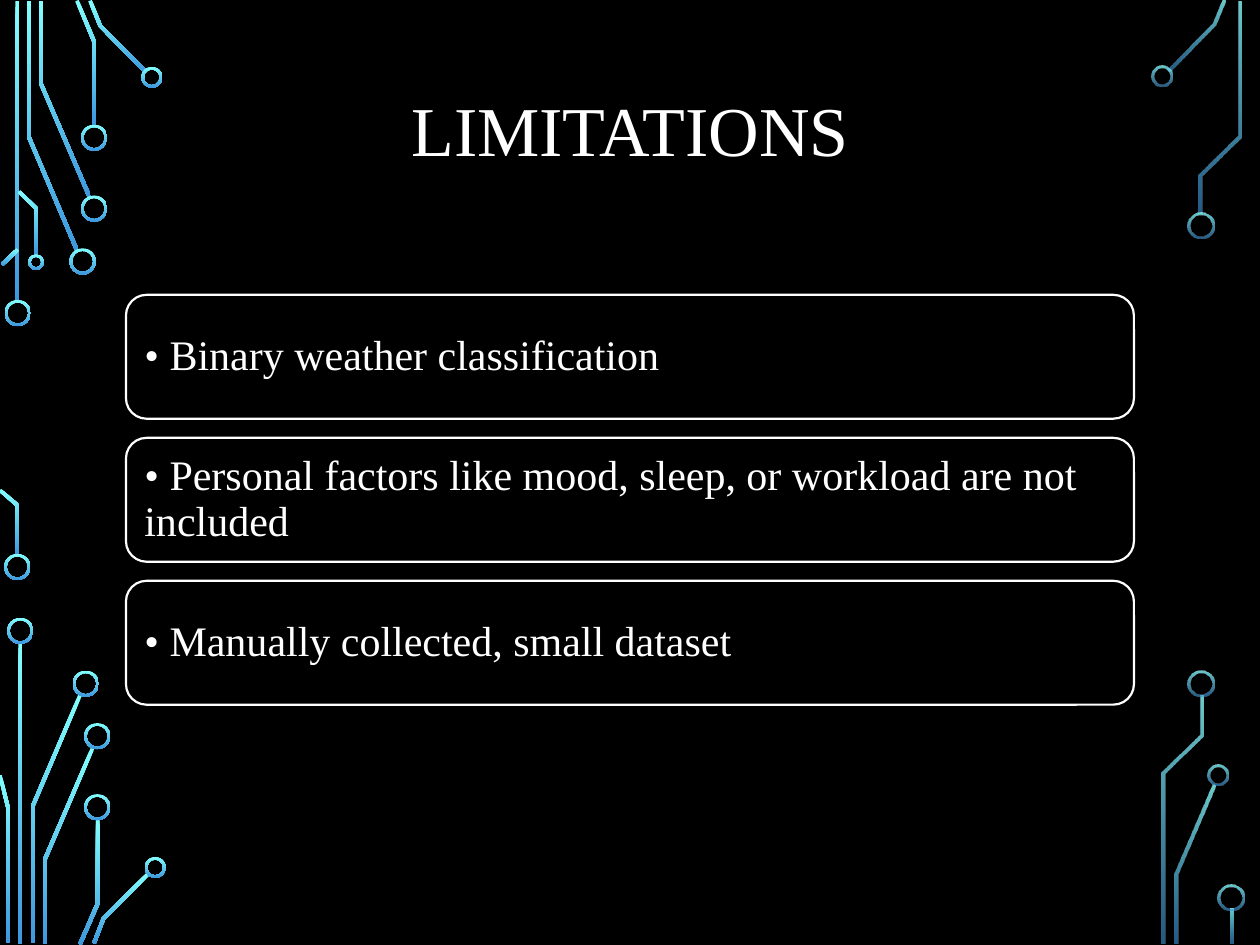
from dataclasses import dataclass

from lxml.etree import SubElement
from pptx import Presentation
from pptx.dml.color import RGBColor
from pptx.enum.shapes import MSO_SHAPE
from pptx.enum.text import MSO_ANCHOR, PP_ALIGN
from pptx.oxml.ns import qn
from pptx.util import Pt


@dataclass(frozen=True)
class Theme:
    back: RGBColor = RGBColor(0x00, 0x00, 0x00)
    ink: RGBColor = RGBColor(0xFF, 0xFF, 0xFF)
    glow: tuple = (RGBColor(0x82, 0xFF, 0xFF), RGBColor(0x3D, 0x97, 0xDE))
    font: str = "Times New Roman"
    title: int = 40
    body: int = 24
    trace: float = 2.1
    ring: float = 1.5


theme = Theme()

# Each side: opacity of the gradient ends in percent, trace centre lines,
# and rings as centre x, centre y, diameter.
sides = [
    {
        "alpha": (100, 100),
        "traces": [
            [(9.9, 0.7), (9.9, 172)],
            [(16.6, 0.7), (16.6, 78.5), (44, 143)],
            [(23.5, 0.7), (23.5, 48), (51.3, 112.8)],
            [(44, 0.4), (53.8, 23.8), (53.8, 72)],
            [(51.5, 0.4), (57.3, 14.8), (83.2, 41)],
            [(1.1, 151.2), (10.1, 142.6)],
            [(0, 280.1), (10, 288.7), (10, 317.5)],
            [(10.8, 109.4), (20.6, 119), (20.6, 146.2)],
            [(11.5, 367.2), (11.5, 539.3)],
            [(18.6, 538.6), (18.6, 461), (45.9, 397)],
            [(4.6, 538.6), (4.6, 461.5), (0, 443)],
            [(25.5, 539.3), (25.5, 491.4), (53, 427.3)],
            [(45.7, 539.6), (55.9, 516.2), (55.9, 468)],
            [(53.7, 539), (59.1, 525), (85, 499)],
        ],
        "rings": [
            (10.1, 178.9, 15), (9.9, 324, 15), (47.2, 149.4, 15),
            (53.8, 119.2, 15), (53.8, 78.7, 15), (86.8, 44.2, 12),
            (20.6, 149.8, 9), (11.6, 360.5, 15), (49, 390.7, 15),
            (55.6, 420.7, 15), (55.6, 461.3, 15), (88.7, 495.7, 12),
        ],
    },
    {
        "alpha": (80, 60),
        "traces": [
            [(667.8, 40), (693.5, 14), (699.1, 0.4)],
            [(672, 538.9), (672, 499.3), (693.4, 449)],
            [(686, 121.7), (686, 99.7), (708.1, 77.4), (708.1, 0.7)],
            [(665, 539), (665, 441.7), (686.5, 420.1), (686.5, 397.4)],
            [(704, 519), (704, 539.3)],
        ],
        "rings": [
            (663.9, 43.5, 12), (686.3, 128.9, 15), (696, 443, 12),
            (686.3, 390.7, 15), (703.5, 512.7, 15),
        ],
    },
]


def outline(line, width):
    """Return the polygon of a band of even width along a centre line."""
    dots = [complex(x, y) for x, y in line]
    sides = [(b - a) / abs(b - a) * 1j for a, b in zip(dots, dots[1:])]
    left, right = [], []
    for dot, before, after in zip(dots, sides[:1] + sides, sides + sides[-1:]):
        both = before + after
        shift = both / abs(both) ** 2 * width
        left.append(dot + shift)
        right.append(dot - shift)
    return [(Pt(p.real), Pt(p.imag)) for p in left + right[::-1]]


def paint(shape, alpha):
    """Give a circuit part its downward glow."""
    shape.shadow.inherit = False
    shape.line.fill.background()
    shape.fill.gradient()
    shape.fill.gradient_angle = 270
    for stop, color in zip(shape.fill.gradient_stops, theme.glow):
        stop.color.rgb = color
    if min(alpha) < 100:
        for node, part in zip(shape._element.iter(qn("a:srgbClr")), alpha):
            SubElement(node, qn("a:alpha")).set("val", str(part * 1000))


deck = Presentation()
deck.slide_width, deck.slide_height = Pt(720), Pt(540)
slide = deck.slides.add_slide(deck.slide_layouts[6])
slide.background.fill.solid()
slide.background.fill.fore_color.rgb = theme.back
shapes = slide.shapes

# Circuit decoration
for side in sides:
    for line in side["traces"]:
        first, *rest = outline(line, theme.trace)
        build = shapes.build_freeform(*first)
        build.add_line_segments(rest, close=True)
        paint(build.convert_to_shape(), side["alpha"])
    for x, y, size in side["rings"]:
        ring = shapes.add_shape(
            MSO_SHAPE.DONUT, Pt(x - size / 2), Pt(y - size / 2), Pt(size), Pt(size)
        )
        ring.adjustments[0] = theme.ring / size
        paint(ring, side["alpha"])

# Title and cards
title = shapes.add_textbox(Pt(24.5), Pt(33.1), Pt(671), Pt(87.1))
blocks = [(title, "LIMITATIONS", theme.title, PP_ALIGN.CENTER)]
points = [
    "Binary weather classification",
    "Personal factors like mood, sleep, or workload are not included",
    "Manually collected, small dataset",
]
for row, point in enumerate(points):
    card = shapes.add_shape(
        MSO_SHAPE.ROUNDED_RECTANGLE, Pt(72), Pt(168.5 + 81.7 * row), Pt(576), Pt(70.8)
    )
    card.shadow.inherit = False
    card.fill.background()
    card.line.color.rgb = theme.ink
    card.line.width = Pt(1.25)
    blocks.append((card, "• " + point, theme.body, PP_ALIGN.LEFT))

for shape, text, size, align in blocks:
    frame = shape.text_frame
    frame.word_wrap = True
    frame.vertical_anchor = MSO_ANCHOR.MIDDLE
    para = frame.paragraphs[0]
    para.alignment = align
    para.line_spacing = 0.9
    run = para.add_run()
    run.text = text
    for key, value in {"name": theme.font, "size": Pt(size)}.items():
        setattr(run.font, key, value)
    run.font.color.rgb = theme.ink

deck.save("out.pptx")
